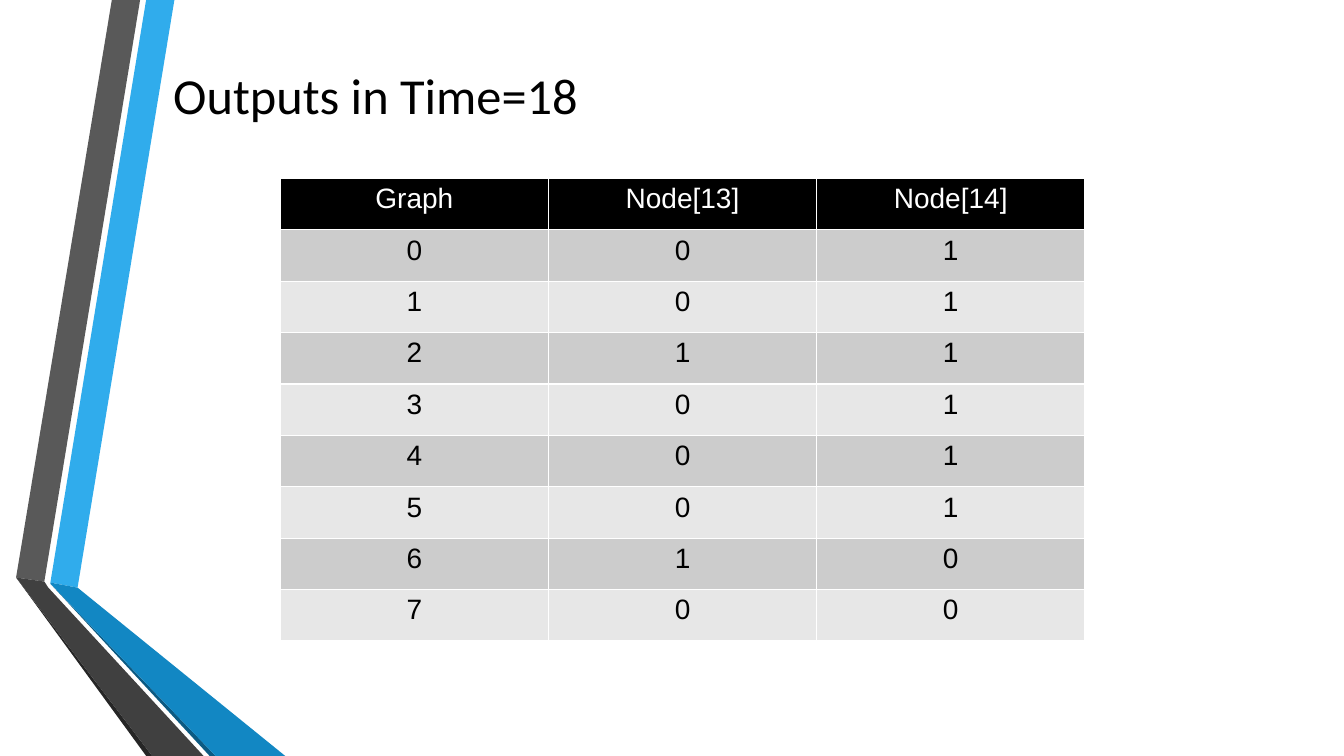
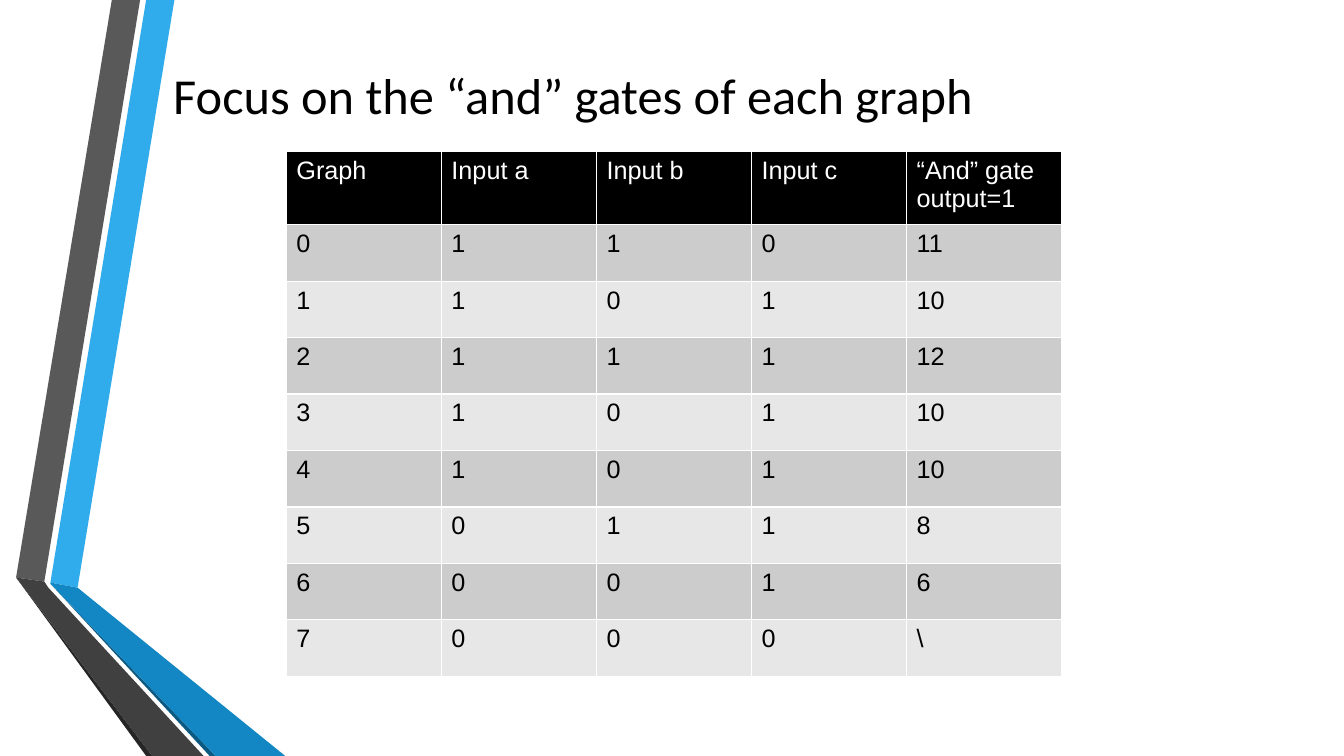
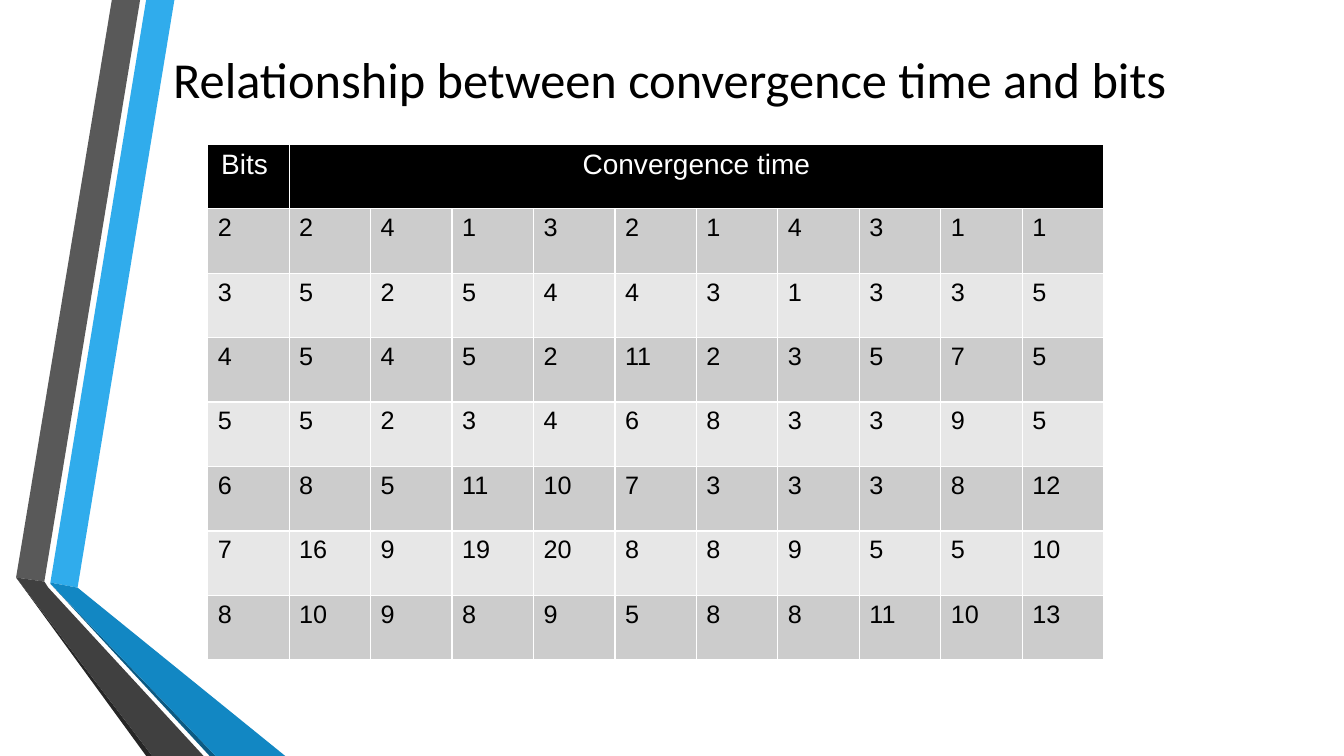
from lxml.etree import SubElement
from pptx import Presentation
from pptx.dml.color import RGBColor
from pptx.enum.text import MSO_ANCHOR as Anchor, PP_ALIGN as Align
from pptx.oxml.ns import qn
from pptx.util import Inches, Pt

BLACK = RGBColor(0x00, 0x00, 0x00)
WHITE = RGBColor(0xFF, 0xFF, 0xFF)
ROW_DARK = RGBColor(0xCC, 0xCC, 0xCC)
ROW_LIGHT = RGBColor(0xE7, 0xE7, 0xE7)
BLUE = RGBColor(0x30, 0xAC, 0xEC)
BLUE_FOLD = RGBColor(0x12, 0x87, 0xC3)
BLUE_EDGE = RGBColor(0x0C, 0x5A, 0x82)
GREY = RGBColor(0x59, 0x59, 0x59)
GREY_FOLD = RGBColor(0x40, 0x40, 0x40)
GREY_EDGE = RGBColor(0x26, 0x26, 0x26)

RIBBONS = [
    (BLUE, [(0.5, 5.78), (0.77, 5.83), (1.73, 0), (1.45, 0)]),
    (GREY, [(1.39, 0), (1.11, 0), (0.16, 5.73), (0.44, 5.77)]),
    (GREY_EDGE, [(0.16, 5.73), (1.45, 7.5), (1.51, 7.5)]),
    (BLUE_EDGE, [(0.5, 5.79), (2.08, 7.5), (2.14, 7.5)]),
    (BLUE_FOLD, [(0.5, 5.79), (2.14, 7.5), (2.83, 7.5), (0.77, 5.83), (0.5, 5.78)]),
    (GREY_FOLD, [(2.02, 7.5), (0.48, 5.83), (0.44, 5.77), (0.16, 5.73), (1.51, 7.5)]),
]

OUTPUTS = [
    ("Graph", "Node[13]", "Node[14]"),
    (0, 0, 1),
    (1, 0, 1),
    (2, 1, 1),
    (3, 0, 1),
    (4, 0, 1),
    (5, 0, 1),
    (6, 1, 0),
    (7, 0, 0),
]
AND_GATES = [
    ("Graph", "Input a", "Input b", "Input c", "“And” gate output=1"),
    (0, 1, 1, 0, 11),
    (1, 1, 0, 1, 10),
    (2, 1, 1, 1, 12),
    (3, 1, 0, 1, 10),
    (4, 1, 0, 1, 10),
    (5, 0, 1, 1, 8),
    (6, 0, 0, 1, 6),
    (7, 0, 0, 0, "\\"),
]
CONVERGENCE = [
    ("Bits ", "Convergence time"),
    (2, 2, 4, 1, 3, 2, 1, 4, 3, 1, 1),
    (3, 5, 2, 5, 4, 4, 3, 1, 3, 3, 5),
    (4, 5, 4, 5, 2, 11, 2, 3, 5, 7, 5),
    (5, 5, 2, 3, 4, 6, 8, 3, 3, 9, 5),
    (6, 8, 5, 11, 10, 7, 3, 3, 3, 8, 12),
    (7, 16, 9, 19, 20, 8, 8, 9, 5, 5, 10),
    (8, 10, 9, 8, 9, 5, 8, 8, 11, 10, 13),
]


def write(frame, text, size=18, font="Arial", color=BLACK, align=Align.LEFT):
    paragraph = frame.paragraphs[0]
    paragraph.alignment = align
    run = paragraph.add_run()
    run.text = str(text)
    run.font.size = Pt(size)
    run.font.name = font
    run.font.bold = False
    run.font.color.rgb = color


def add_borders(cell, color=WHITE, width=1):
    """Must run before the cell is filled: the schema puts borders first."""
    properties = cell._tc.get_or_add_tcPr()
    for side in ("a:lnL", "a:lnR", "a:lnT", "a:lnB"):
        border = SubElement(properties, qn(side), w=str(Pt(width)))
        fill = SubElement(border, qn("a:solidFill"))
        SubElement(fill, qn("a:srgbClr"), val=str(color))


class Deck:
    def __init__(self):
        self.prs = Presentation()
        self.prs.slide_width = Inches(13.33)
        self.prs.slide_height = Inches(7.5)
        self.slide = None

    def start_slide(self, title, title_top=0.37):
        self.slide = self.prs.slides.add_slide(self.prs.slide_layouts[6])
        for color, corners in RIBBONS:
            self.ribbon(color, corners)
        self.title(title, title_top)

    def ribbon(self, color, corners):
        start, *rest = [(Inches(x), Inches(y)) for x, y in corners]
        outline = self.slide.shapes.build_freeform(*start)
        outline.add_line_segments(rest, close=True)
        shape = outline.convert_to_shape()
        shape.shadow.inherit = False
        shape.fill.solid()
        shape.fill.fore_color.rgb = color
        shape.line.fill.background()

    def title(self, text, top):
        box = self.slide.shapes.add_textbox(
            Inches(1.62), Inches(top), Inches(10.54), Inches(1.13))
        box.text_frame.word_wrap = True
        box.text_frame.vertical_anchor = Anchor.MIDDLE
        write(box.text_frame, text, size=36, font="Calibri")

    def table(self, rows, left, top, width, header_height, row_height,
              header_format, body_format):
        """Equal columns; a short header row spreads its last cell to the right."""
        columns = len(rows[-1])
        height = header_height + row_height * (len(rows) - 1)
        table = self.slide.shapes.add_table(
            len(rows), columns, Inches(left), Inches(top),
            Inches(width), Inches(height)).table
        for column in table.columns:
            column.width = Inches(width / columns)
        for r, values in enumerate(rows):
            table.rows[r].height = Inches(row_height if r else header_height)
            row_fill = (ROW_DARK if r % 2 else ROW_LIGHT) if r else BLACK
            for c in range(columns):
                cell = table.cell(r, c)
                add_borders(cell)
                cell.fill.solid()
                cell.fill.fore_color.rgb = row_fill
            for c, value in enumerate(values):
                text_format = body_format if r else {"color": WHITE, **header_format}
                write(table.cell(r, c).text_frame, value, **text_format)
        last = len(rows[0]) - 1
        if last < columns - 1:
            table.cell(0, last).merge(table.cell(0, columns - 1))


def main():
    deck = Deck()
    centred = {"size": 20, "align": Align.CENTER}
    plain = {"size": 18}

    deck.start_slide("Outputs in Time=18")
    deck.table(OUTPUTS, 2.78, 1.77, 7.98, 0.51, 0.51, centred, centred)

    deck.start_slide("Focus on the “and” gates of each graph")
    deck.table(AND_GATES, 2.84, 1.5, 7.69, 0.73, 0.56, plain, plain)

    deck.start_slide("Relationship between convergence time and bits", title_top=0.21)
    deck.table(CONVERGENCE, 2.06, 1.43, 8.89, 0.64, 0.64, centred, plain)

    deck.prs.save("out.pptx")


if __name__ == "__main__":
    main()
